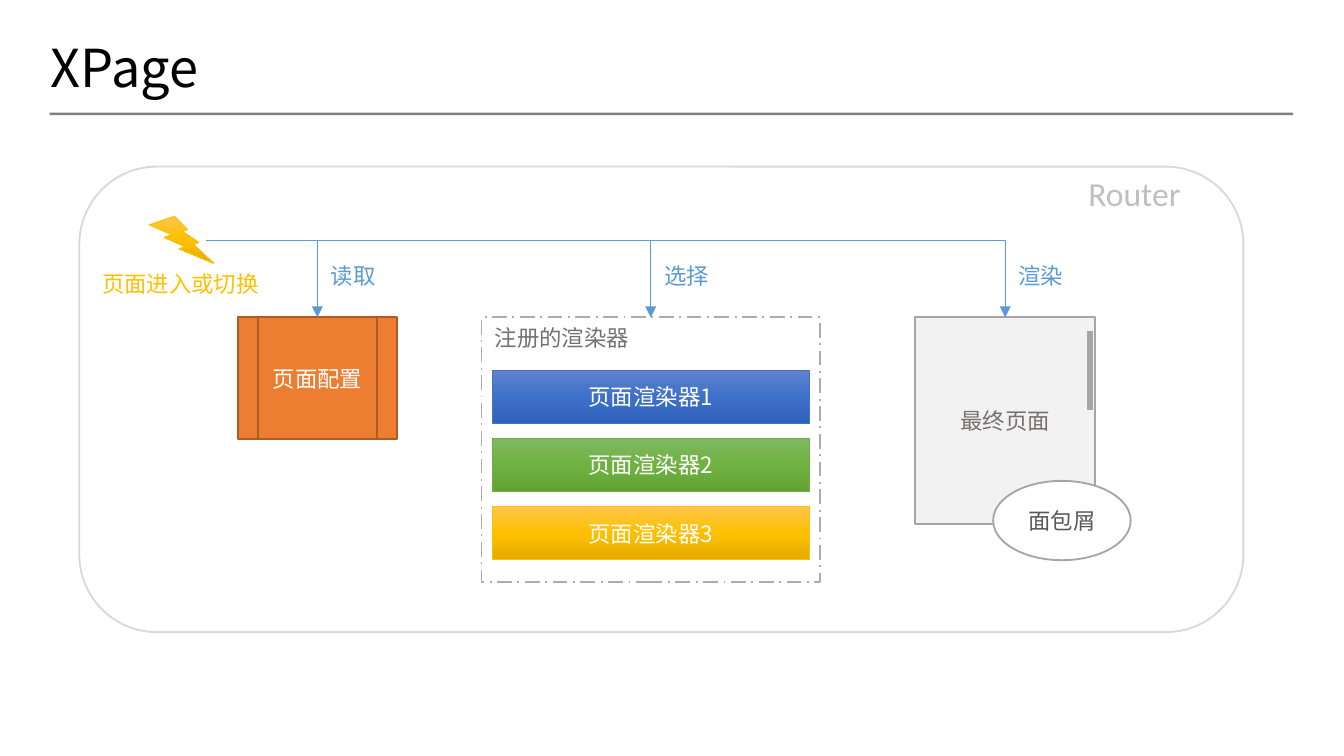
from copy import deepcopy

from lxml.etree import SubElement
from pptx import Presentation
from pptx.dml.color import RGBColor
from pptx.enum.dml import MSO_LINE
from pptx.enum.shapes import MSO_CONNECTOR, MSO_SHAPE
from pptx.enum.text import MSO_ANCHOR, PP_ALIGN
from pptx.oxml.ns import qn
from pptx.util import Cm, Pt

FONT = "Noto Sans CJK SC"
BLACK = RGBColor(0x00, 0x00, 0x00)
WHITE = RGBColor(0xFF, 0xFF, 0xFF)
RULE = RGBColor(0x80, 0x80, 0x80)
FRAME = RGBColor(0xD9, 0xD9, 0xD9)
SILVER = RGBColor(0xBF, 0xBF, 0xBF)
GRAY = RGBColor(0xA6, 0xA6, 0xA6)
WARM_GRAY = RGBColor(0xAF, 0xAB, 0xAB)
PALE = RGBColor(0xF2, 0xF2, 0xF2)
TEXT_GRAY = RGBColor(0x76, 0x71, 0x71)
DARK_GRAY = RGBColor(0x59, 0x59, 0x59)
ORANGE = RGBColor(0xED, 0x7D, 0x31)
BROWN = RGBColor(0xAF, 0x5C, 0x24)
SKY = RGBColor(0x5B, 0x9B, 0xD5)
BLUE = RGBColor(0x44, 0x72, 0xC4)
GREEN = RGBColor(0x70, 0xAD, 0x47)
GOLD = RGBColor(0xFF, 0xC0, 0x00)
BLUE_GRADIENT = (RGBColor(0x61, 0x83, 0xCB), RGBColor(0x3E, 0x70, 0xCA), RGBColor(0x30, 0x62, 0xBB))
GREEN_GRADIENT = (RGBColor(0x81, 0xB8, 0x61), RGBColor(0x6F, 0xB2, 0x42), RGBColor(0x62, 0xA3, 0x36))
GOLD_GRADIENT = (RGBColor(0xFF, 0xC6, 0x4B), GOLD, RGBColor(0xE3, 0xAB, 0x00))


def write(sp, text, color, size=12, font=FONT, align=PP_ALIGN.CENTER,
          anchor=MSO_ANCHOR.MIDDLE, wrap=True):
    tf = sp.text_frame
    tf.word_wrap = wrap
    tf.vertical_anchor = anchor
    p = tf.paragraphs[0]
    p.alignment = align
    r = p.add_run()
    r.text = text
    r.font.name = font
    r.font.size = Pt(size)
    r.font.color.rgb = color
    SubElement(r.font._element, qn("a:ea")).set("typeface", font)


def add_label(s, text, x, y, w, h, color, **fmt):
    sp = s.shapes.add_textbox(Cm(x), Cm(y), Cm(w), Cm(h))
    options = dict(align=PP_ALIGN.LEFT, anchor=MSO_ANCHOR.TOP, wrap=False)
    write(sp, text, color, **(options | fmt))


def fill_gradient(sp, colors):
    sp.fill.gradient()
    sp.fill.gradient_angle = 270
    stop_list = sp._element.spPr.find(qn("a:gradFill")).find(qn("a:gsLst"))
    stop_list.append(deepcopy(stop_list[0]))
    for i, (stop, color) in enumerate(zip(sp.fill.gradient_stops, colors)):
        stop.position = i / 2
        stop.color.rgb = color


def add_box(s, kind, x, y, w, h, fill=None, line=None, width=1):
    sp = s.shapes.add_shape(kind, Cm(x), Cm(y), Cm(w), Cm(h))
    sp.shadow.inherit = False
    if fill is None:
        sp.fill.background()
    elif isinstance(fill, RGBColor):
        sp.fill.solid()
        sp.fill.fore_color.rgb = fill
    else:
        fill_gradient(sp, fill)
    if line is None:
        sp.line.fill.background()
    else:
        sp.line.color.rgb = line
        sp.line.width = Pt(width)
    return sp


def add_line(s, kind, x1, y1, x2, y2, color, width):
    c = s.shapes.add_connector(kind, Cm(x1), Cm(y1), Cm(x2), Cm(y2))
    c.line.color.rgb = color
    c.line.width = Pt(width)
    SubElement(c._element.spPr, qn("a:effectLst"))
    return c


def add_step_arrow(s, x):
    c = add_line(s, MSO_CONNECTOR.ELBOW, 3.9, 4.55, x, 6, SKY, 0.5)
    sp_pr = c._element.spPr
    sp_pr.find(qn("a:prstGeom")).set("prst", "bentConnector2")
    SubElement(sp_pr.find(qn("a:ln")), qn("a:tailEnd")).set("type", "triangle")


def main():
    prs = Presentation()
    prs.slide_width, prs.slide_height = Cm(25.4), Cm(14.29)
    s = prs.slides.add_slide(prs.slide_layouts[6])

    # Title and rule
    add_box(s, MSO_SHAPE.RECTANGLE, 0.94, 2.13, 23.5, 0.05, RULE)
    add_label(s, "XPage", 0.71, 0.58, 23.4, 1.37, BLACK, size=28,
              anchor=MSO_ANCHOR.MIDDLE, wrap=True)

    # Router frame
    add_box(s, MSO_SHAPE.ROUNDED_RECTANGLE, 1.5, 3.15, 22, 8.8, line=FRAME)

    # Registered renderers
    group = add_box(s, MSO_SHAPE.RECTANGLE, 9.1, 6, 6.4, 5, line=WARM_GRAY)
    group.line.dash_style = MSO_LINE.LONG_DASH_DOT
    write(group, "注册的渲染器", TEXT_GRAY, align=PP_ALIGN.LEFT, anchor=MSO_ANCHOR.TOP)
    renderers = [(BLUE_GRADIENT, BLUE), (GREEN_GRADIENT, GREEN), (GOLD_GRADIENT, GOLD)]
    for i, (fill, line) in enumerate(renderers):
        bar = add_box(s, MSO_SHAPE.RECTANGLE, 9.3, 7 + 1.29 * i, 6, 1, fill, line, 0.5)
        write(bar, f"页面渲染器{i + 1}", WHITE)

    # Page configuration and final page
    config = add_box(s, MSO_SHAPE.FLOWCHART_PREDEFINED_PROCESS, 4.5, 6, 3, 2.3, ORANGE, BROWN)
    write(config, "页面配置", WHITE)
    page = add_box(s, MSO_SHAPE.RECTANGLE, 17.3, 6, 3.4, 3.9, PALE, GRAY)
    write(page, "最终页面", TEXT_GRAY)
    add_line(s, MSO_CONNECTOR.STRAIGHT, 20.6, 6.25, 20.6, 7.75, GRAY, 3)

    # Steps
    for text, x in [("读取", 6), ("选择", 12.3), ("渲染", 19)]:
        add_step_arrow(s, x)
        add_label(s, text, x, 4.84, 1.37, 0.76, SKY)

    # Trigger
    add_box(s, MSO_SHAPE.LIGHTNING_BOLT, 2.82, 4.09, 1.22, 0.89, GOLD_GRADIENT, GOLD, 0.5)
    add_label(s, "页面进入或切换", 1.68, 4.98, 3.5, 0.76, GOLD)

    # Router name and breadcrumb
    add_label(s, "Router", 20.32, 3.15, 2.28, 1.02, SILVER, size=18, font="Calibri")
    crumb = add_box(s, MSO_SHAPE.OVAL, 18.77, 9.09, 2.6, 1.5, WHITE, GRAY)
    write(crumb, "面包屑", DARK_GRAY)

    prs.save("out.pptx")


if __name__ == "__main__":
    main()
